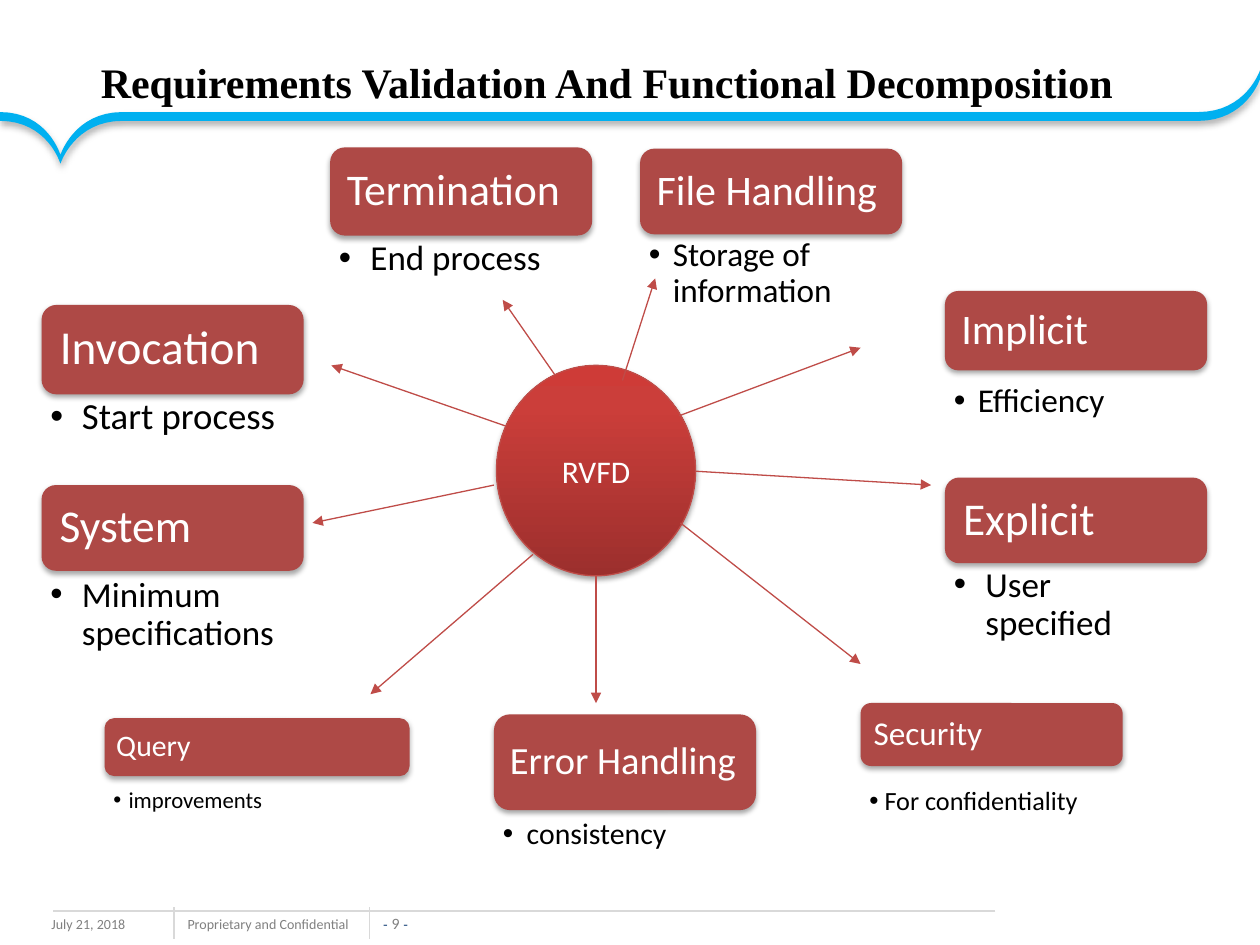
from lxml.etree import SubElement
from pptx import Presentation
from pptx.dml.color import RGBColor
from pptx.enum.shapes import MSO_CONNECTOR, MSO_SHAPE
from pptx.enum.text import MSO_ANCHOR as ANCHOR, MSO_AUTO_SIZE as AUTO, PP_ALIGN as ALIGN
from pptx.oxml.ns import qn
from pptx.util import Inches, Pt

COLORS = {"box": "AE4946", "arrow": "BF4C48", "ribbon": "00B0F0", "rule": "D9D9D9",
          "white": "FFFFFF", "black": "000000", "grey": "808080", "navy": "1F497D"}
HUB_STOPS = [(0, "9C2F2D"), (80, "CB3E3A"), (100, "CE3B37")]

prs = Presentation()
prs.slide_width, prs.slide_height = Inches(10), Inches(7.5)
CELL = prs.slide_width // 100  # grid of 100 columns by 75 rows


def grid(*cells):
    """Turn columns and rows into slide lengths."""
    return [round(c * CELL) for c in cells]


def rgb(name):
    """Look up a colour by name."""
    return RGBColor.from_string(COLORS[name])


def node(parent, tag, **attrs):
    """Add a drawing element with its attributes."""
    return SubElement(parent, qn(tag), {k: str(v) for k, v in attrs.items()})


def add_shadow(sp, alpha, blur, dist):
    """Give a shape a soft shadow falling straight down."""
    sp.shadow.inherit = False
    effects = sp._element.spPr.find(qn("a:effectLst"))
    shadow = node(effects, "a:outerShdw", blurRad=Pt(blur), dist=Pt(dist),
                  dir=5400000, rotWithShape=0)
    node(node(shadow, "a:srgbClr", val=COLORS["black"]), "a:alpha", val=alpha * 1000)


def write(sp, runs, align=ALIGN.LEFT, inset=(1, 0.5, 1, 0.5), **frame):
    """Write (text, size, colour, font) runs into a shape; return its paragraph."""
    tf = sp.text_frame
    sides = ("margin_left", "margin_top", "margin_right", "margin_bottom")
    fmt = {"word_wrap": True, "auto_size": AUTO.NONE, "vertical_anchor": ANCHOR.TOP,
           **dict(zip(sides, grid(*inset))), **frame}
    for name, value in fmt.items():
        setattr(tf, name, value)
    p = tf.paragraphs[0]
    p.alignment = align
    for text, size, color, font in runs:
        r = p.add_run()
        r.text = text
        for name, value in {"size": Pt(size), "name": font}.items():
            setattr(r.font, name, value)
        r.font.color.rgb = rgb(color)
    return p


def add_line(s, start, end, color, arrow=False):
    """Draw a thin line, with an arrowhead at its end if asked."""
    line = s.shapes.add_connector(MSO_CONNECTOR.STRAIGHT, *grid(*start, *end))
    line.line.color.rgb = rgb(color)
    line.line.width = Pt(0.75)
    node(line._element.spPr, "a:effectLst")
    if arrow:
        node(line.line._get_or_add_ln(), "a:tailEnd", type="triangle")


def curve(start, c1, c2, end, steps=16):
    """Points along a cubic curve, start left out."""
    for i in range(1, steps + 1):
        t = i / steps
        u = 1 - t
        yield tuple(u**3 * a + 3 * u * u * t * b + 3 * u * t * t * c + t**3 * d
                    for a, b, c, d in zip(start, c1, c2, end))


def add_ribbon(s, top, depth):
    """Draw the ribbon under the title, dipping at the left and rising at the right."""
    low, tip, rise = top + 3.3, top + 6.7, top
    edge = [(0, low)]
    for c1, c2, end in [((3.8, low), (4.8, tip), (4.8, tip)),
                        ((4.8, tip), (5.9, low), (9.7, low)),
                        ((95.1, low),) * 3,
                        ((98.9, low), (100, rise), (100, rise))]:
        edge += curve(edge[-1], c1, c2, end)
    outline = edge + [(x, y + depth) for x, y in reversed(edge)]
    points = [grid(*point) for point in outline]
    pen = s.shapes.build_freeform(*points[0], scale=1)
    pen.add_line_segments(points[1:], close=True)
    sp = pen.convert_to_shape()
    sp.fill.solid()
    sp.fill.fore_color.rgb = rgb("ribbon")
    sp.line.fill.background()
    add_shadow(sp, 31, 4, 2)


def add_title(s, text, box):
    """Move and format the title placeholder."""
    sp = s.shapes.title
    sp.left, sp.top, sp.width, sp.height = grid(*box)
    p = write(sp, [(text, 24, "black", "Times New Roman")])
    p.runs[0].font.bold = True


def add_topic(s, box, head, size, inset, note, note_size, note_box, indent):
    """Draw a rounded heading; note_box is (gap below it, height)."""
    x, y, w, h = box
    sp = s.shapes.add_shape(MSO_SHAPE.ROUNDED_RECTANGLE, *grid(*box))
    sp.fill.solid()
    sp.fill.fore_color.rgb = rgb("box")
    sp.line.fill.background()
    add_shadow(sp, 35, 3.1, 1.8)
    p = write(sp, [(head, size, "white", "Calibri")], vertical_anchor=ANCHOR.MIDDLE,
              inset=(inset, inset, inset / 2, inset))
    p.line_spacing = 0.9
    gap, height = note_box
    sp = s.shapes.add_textbox(*grid(x, y + h + gap, w, height))
    p = write(sp, [(note, note_size, "black", "Calibri")],
              inset=(0.7, 0.3, note_size / 10, 0.3))
    p.line_spacing = 0.9
    pPr = p._p.get_or_add_pPr()
    pPr.set("marL", str(grid(indent)[0]))
    pPr.set("indent", str(-grid(indent)[0]))
    node(pPr, "a:buFont", typeface="Arial")
    node(pPr, "a:buChar", char="•")


def add_hub(s, box, text):
    """Draw the shaded circle in the middle."""
    sp = s.shapes.add_shape(MSO_SHAPE.OVAL, *grid(*box))
    sp.fill.gradient()
    grad = sp._element.spPr.find(qn("a:gradFill"))
    stops = grad.find(qn("a:gsLst"))
    for old in list(stops):
        stops.remove(old)
    for pos, color in HUB_STOPS:
        node(node(stops, "a:gs", pos=pos * 1000), "a:srgbClr", val=color)
    sp.fill.gradient_angle = 90
    sp.line.color.rgb = rgb("arrow")
    sp.line.width = Pt(0.75)
    add_shadow(sp, 35, 3.1, 1.8)
    write(sp, [(text, 18, "white", "Calibri")], ALIGN.CENTER, vertical_anchor=ANCHOR.MIDDLE)


def add_footer(s, left, top):
    """Place the date, notice and page number below a rule."""
    add_line(s, (left + 74.8, top), (left, top), "rule")
    for x in (left + 9.6, left + 25.1):
        add_line(s, (x, top - 0.3), (x, top + 2.2), "rule")
    for x, w, text in [(left - 1.1, 13.3, "July 21, 2018"),
                       (left + 9.7, 15.7, "Proprietary and Confidential")]:
        sp = s.shapes.add_textbox(*grid(x, top - 0.1, w, 2.5))
        write(sp, [(text, 8, "grey", "Calibri")])
    sp = s.shapes.add_textbox(*grid(left + 25.9, top + 0.2, 2.6, 1.5))
    write(sp, [("- ", 8, "navy", "Arial"), ("9 ", 9, "grey", "Calibri"),
               ("-", 8, "navy", "Arial")], ALIGN.CENTER, (0, 0, 0, 0),
          word_wrap=False, vertical_anchor=ANCHOR.BOTTOM)


# heading box, heading, size, inset, note, size, (gap, height), indent
TOPICS = [
    ((50.8, 11.8, 20.8, 6.8), "File Handling", 24, 1, "Storage of information", 19, (0, 6.5), 1.9),
    ((8.3, 57, 24.2, 4.6), "Query", 17, 0.7, "improvements", 13, (0.7, 5.1), 1.2),
    ((39.2, 56.7, 20.8, 7.6), "Error Handling", 22, 0.9, "consistency", 17, (0.4, 4), 1.9),
    ((3.3, 38.5, 20.8, 6.8), "System", 26, 1.1, "Minimum specifications", 20, (0.2, 6.9), 2.5),
    ((3.3, 24.2, 20.8, 7.1), "Invocation", 27, 1.1, "Start process", 21, (0, 4.9), 2.5),
    ((26.2, 11.7, 20.8, 7), "Termination", 25, 1, "End process", 20, (0.1, 4.5), 2.5),
    ((75, 23.1, 20.8, 6.3), "Implicit", 24, 1, "Efficiency", 19, (0.8, 6.3), 1.9),
    ((75, 37.9, 20.8, 6.8), "Explicit", 26, 1.1, "User specified", 20, (0, 6.9), 2.5),
    ((68.3, 55.8, 20.8, 5), "Security", 19, 0.8, "For confidentiality", 15, (1.4, 6.5), 1.2),
]
ARROWS = [((49.4, 30.2), (52, 22.1)), ((53.9, 33), (68.3, 27.6)),
          ((55.2, 37.4), (73.9, 38.5)), ((54, 41.5), (68.3, 52.7)),
          ((47.3, 45.7), (47.3, 55.8)), ((42.3, 44), (29.4, 55.1)),
          ((39.2, 38.5), (24.8, 41.5)), ((40.1, 33.8), (26.3, 29)),
          ((44, 29.7), (39.9, 23.8))]

s = prs.slides.add_slide(prs.slide_layouts[5])
add_footer(s, 4.2, 72.3)
add_ribbon(s, 5.6, 0.7)
add_title(s, "Requirements Validation And Functional Decomposition", (7, 4, 87.7, 5))
for topic in TOPICS:
    add_topic(s, *topic)
add_hub(s, (39.4, 29, 15.8, 16.7), "RVFD")
for start, end in ARROWS:
    add_line(s, start, end, "arrow", arrow=True)
prs.save("out.pptx")
